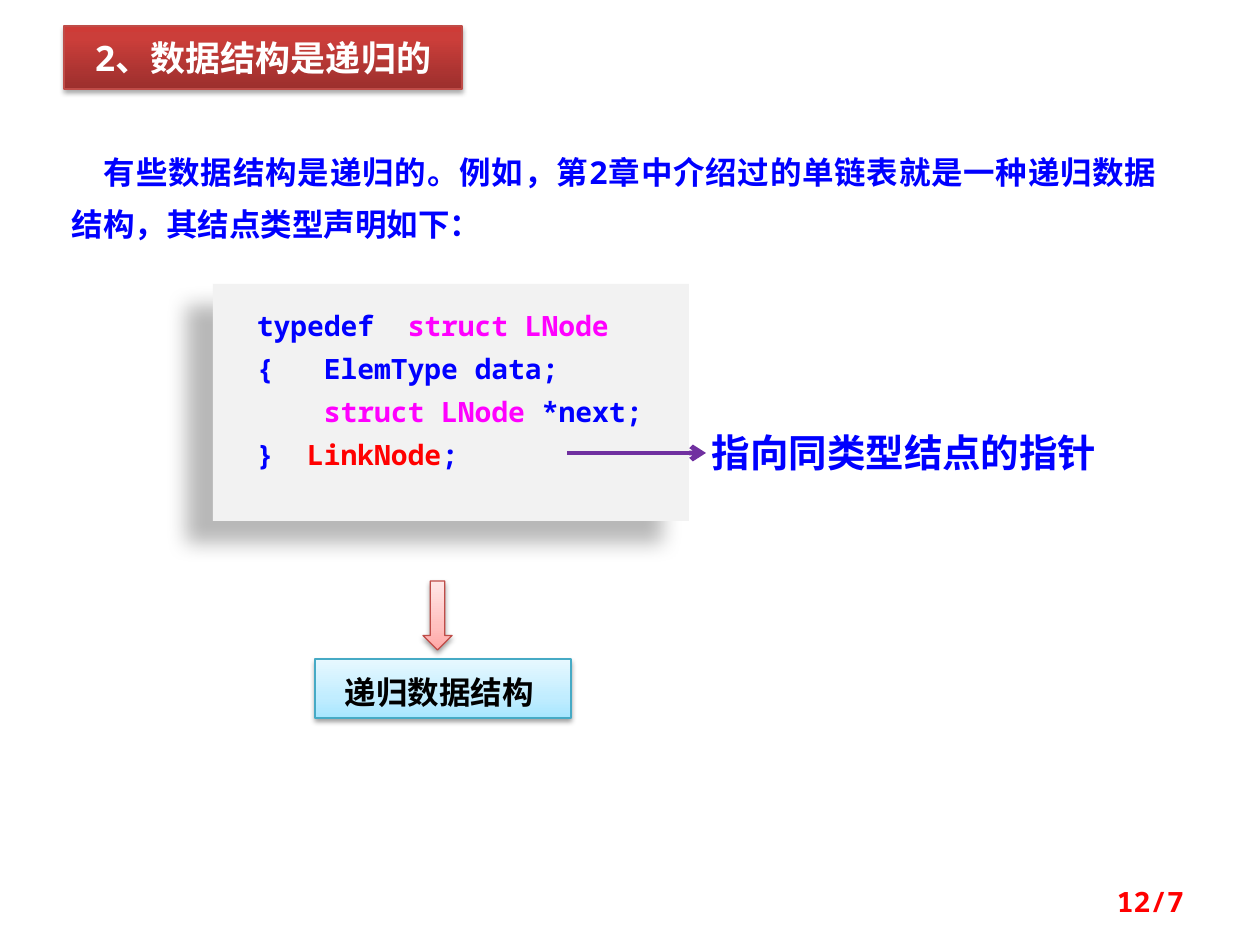
from dataclasses import dataclass

from lxml.etree import SubElement
from pptx import Presentation
from pptx.dml.color import RGBColor
from pptx.enum.shapes import MSO_CONNECTOR, MSO_SHAPE
from pptx.enum.text import MSO_ANCHOR, MSO_AUTO_SIZE, PP_ALIGN
from pptx.oxml.ns import qn
from pptx.util import Emu, Pt


@dataclass(frozen=True)
class Theme:
    """Colours, fonts and type sizes of the slide."""
    mono: str = "Noto Sans Mono"
    serif: str = "Times New Roman"
    blue: str = "0000FF"
    magenta: str = "FF00FF"
    red: str = "FF0000"
    white: str = "FFFFFF"
    black: str = "000000"
    panel: str = "F2F2F2"
    purple: str = "7030A0"
    red_edge: str = "BF4C48"
    cyan_edge: str = "46AAC5"
    red_blend: tuple = ((0, "9C2F2D"), (80, "CB3E3A"), (100, "CE3B37"))
    pink_blend: tuple = ((0, "FFA6A5"), (35, "FFC0BF"), (100, "FFE7E7"))
    cyan_blend: tuple = ((0, "A7E6FF"), (35, "C1EDFF"), (100, "E7F8FF"))
    code_size: int = 16
    body_size: int = 18
    title_size: int = 20
    label_size: int = 22


THEME = Theme()
CODE = (
    (("typedef  ", THEME.blue), ("struct LNode", THEME.magenta)),
    (("{   ElemType data;", THEME.blue),),
    (("    ", THEME.blue), ("struct LNode", THEME.magenta), (" *next;", THEME.blue)),
    (("}  ", THEME.blue), ("LinkNode", THEME.red), (";", THEME.blue)),
)


def px(length):
    """Turn pixels into EMU."""
    return Emu(round(length * 914400 / 126))


def color(value):
    """Turn a hex string into a colour."""
    return RGBColor.from_string(value)


def add_shadow(shape, opacity, blur, distance, angle):
    """Give a shape a soft black shadow."""
    shape.shadow.inherit = False
    effects = shape._element.spPr.find(qn("a:effectLst"))
    shadow = SubElement(effects, qn("a:outerShdw"), blurRad=str(Pt(blur)),
                        dist=str(Pt(distance)), dir=str(angle * 60000),
                        algn="ctr", rotWithShape="0")
    shade = SubElement(shadow, qn("a:srgbClr"), val=THEME.black)
    SubElement(shade, qn("a:alpha"), val=str(opacity * 1000))


def style_blended(shape, blend, edge, opacity=38):
    """Give a shape an upward gradient, a thin edge and a shadow."""
    shape.fill.gradient()
    shape.fill.gradient_angle = 90
    stops = shape._element.spPr.find(qn("a:gradFill")).find(qn("a:gsLst"))
    for stop in list(stops):
        stops.remove(stop)
    for position, value in blend:
        stop = SubElement(stops, qn("a:gs"), pos=str(position * 1000))
        SubElement(stop, qn("a:srgbClr"), val=value)
    shape.line.color.rgb = color(edge)
    shape.line.width = Pt(0.75)
    add_shadow(shape, opacity, 3, 1.7, 90)


def prepare_frame(shape, insets=(13, 6, 13, 6), anchor=MSO_ANCHOR.TOP):
    """Set wrapping, insets and anchor of a shape's text."""
    frame = shape.text_frame
    frame.word_wrap = True
    frame.auto_size = MSO_AUTO_SIZE.NONE
    frame.vertical_anchor = anchor
    (frame.margin_left, frame.margin_top,
     frame.margin_right, frame.margin_bottom) = map(px, insets)
    return frame


def format_paragraph(paragraph, size, value, align=PP_ALIGN.LEFT, font=THEME.mono):
    """Set alignment and bold type of a paragraph."""
    paragraph.alignment = align
    paragraph.font.name = font
    paragraph.font.size = Pt(size)
    paragraph.font.bold = True
    paragraph.font.color.rgb = color(value)


def write(frame, text, size, value, **style):
    """Write one paragraph into a text frame."""
    paragraph = frame.paragraphs[0]
    paragraph.text = text
    format_paragraph(paragraph, size, value, **style)
    return paragraph


def add_shape(slide, kind, *box):
    """Add a preset shape."""
    return slide.shapes.add_shape(kind, *map(px, box))


def add_text(slide, box, text, size, value, anchor=MSO_ANCHOR.TOP, **style):
    """Add a text box with one paragraph."""
    shape = slide.shapes.add_textbox(*map(px, box))
    return write(prepare_frame(shape, anchor=anchor), text, size, value, **style)


def add_title(slide, text):
    """Turn the title placeholder into a red banner."""
    title = slide.shapes.title
    title.left, title.top, title.width, title.height = map(px, (64, 26, 398, 63))
    style_blended(title, THEME.red_blend, THEME.red_edge, 35)
    frame = prepare_frame(title, (13, 10, 13, 10), MSO_ANCHOR.MIDDLE)
    write(frame, text, THEME.title_size, THEME.white, align=PP_ALIGN.CENTER)


def add_code(slide):
    """Add the code panel."""
    panel = add_shape(slide, MSO_SHAPE.RECTANGLE, 213, 284, 476, 237)
    panel.fill.solid()
    panel.fill.fore_color.rgb = color(THEME.panel)
    panel.line.fill.background()
    add_shadow(panel, 28, 11.8, 19.7, 141)
    frame = prepare_frame(panel, (44, 25, 25, 25))
    for index, line in enumerate(CODE):
        paragraph = frame.add_paragraph() if index else frame.paragraphs[0]
        if index:
            paragraph.space_before = Pt(5.3)
        format_paragraph(paragraph, THEME.code_size, THEME.blue)
        for text, value in line:
            run = paragraph.add_run()
            run.text = text
            run.font.color.rgb = color(value)


def add_pointer(slide, *ends):
    """Add an arrow line that points at its second end."""
    pointer = slide.shapes.add_connector(MSO_CONNECTOR.STRAIGHT, *map(px, ends))
    pointer.line.color.rgb = color(THEME.purple)
    pointer.line.width = Pt(2.75)
    SubElement(pointer.line._get_or_add_ln(), qn("a:tailEnd"), type="arrow")
    SubElement(pointer._element.spPr, qn("a:effectLst"))


def add_conclusion(slide, text):
    """Add the down arrow and the conclusion box."""
    box = add_shape(slide, MSO_SHAPE.RECTANGLE, 315, 659, 256, 59)
    style_blended(box, THEME.cyan_blend, THEME.cyan_edge)
    paragraph = write(prepare_frame(box, (13, 6, 21, 6)), text, THEME.body_size,
                      THEME.black, align=PP_ALIGN.CENTER)
    paragraph.line_spacing = 1.2
    arrow = add_shape(slide, MSO_SHAPE.DOWN_ARROW, 423, 581, 29, 69)
    style_blended(arrow, THEME.pink_blend, THEME.red_edge)


def main():
    """Build and save the slide."""
    presentation = Presentation()
    presentation.slide_width, presentation.slide_height = px(1260), px(945)
    slide = presentation.slides.add_slide(presentation.slide_layouts[5])
    add_title(slide, "2、数据结构是递归的")
    body = add_text(slide, (59, 132, 1111, 113),
                    "有些数据结构是递归的。例如，第2章中介绍过的单链表就是一种递归数据结构，其结点类型声明如下：",
                    THEME.body_size, THEME.blue, align=PP_ALIGN.JUSTIFY)
    body.line_spacing = Pt(30)
    body._p.get_or_add_pPr().set("indent", str(px(32)))
    add_code(slide)
    add_text(slide, (699, 423, 444, 59), "指向同类型结点的指针",
             THEME.label_size, THEME.blue, font=THEME.serif)
    add_pointer(slide, 567, 453, 706, 453)
    add_conclusion(slide, "递归数据结构")
    add_text(slide, (903, 876, 294, 50), "12/7", THEME.code_size, THEME.red,
             anchor=MSO_ANCHOR.MIDDLE, align=PP_ALIGN.RIGHT)
    presentation.save("out.pptx")


if __name__ == "__main__":
    main()
